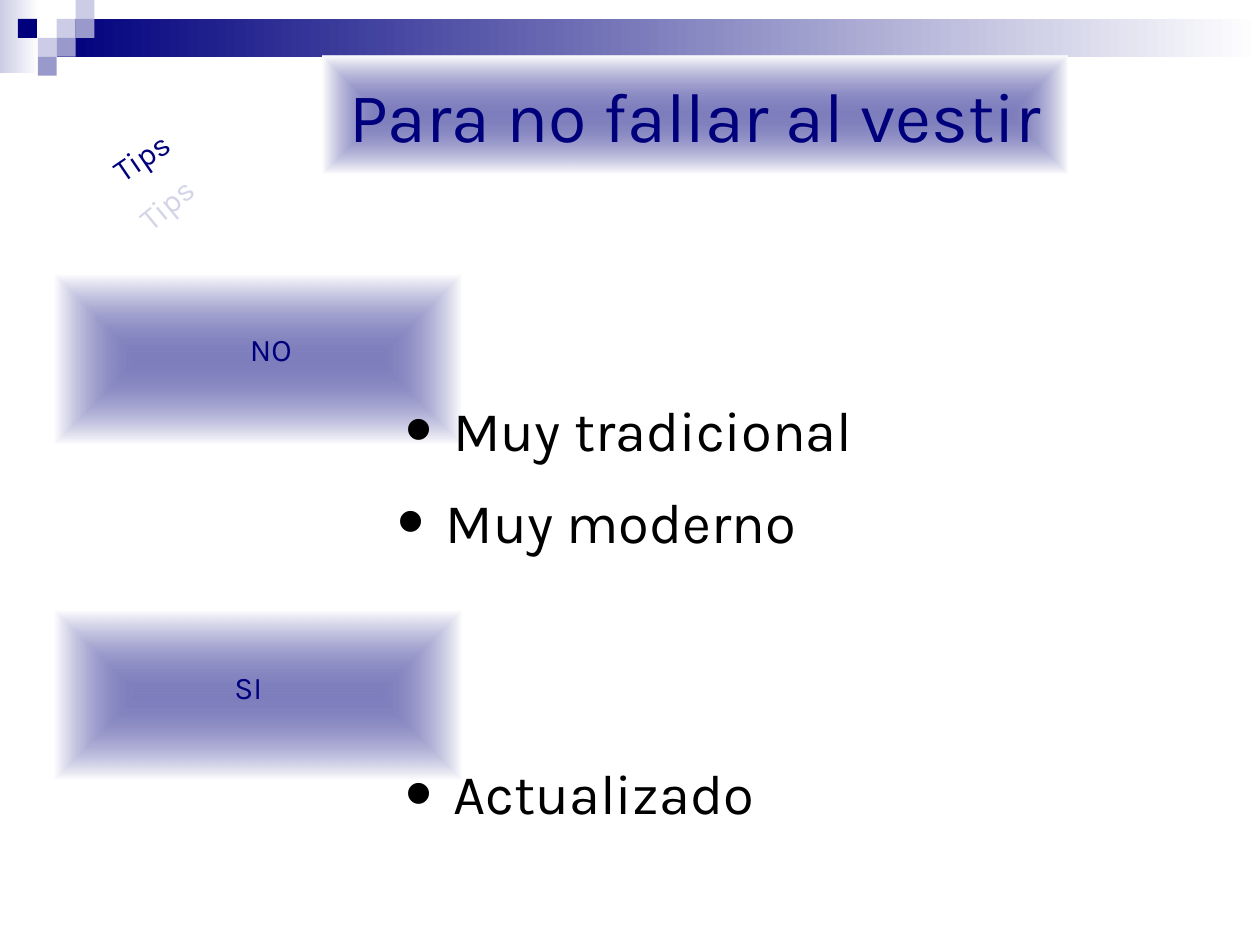
from dataclasses import dataclass

from lxml.etree import SubElement
from pptx import Presentation
from pptx.dml.color import RGBColor
from pptx.enum.shapes import MSO_SHAPE
from pptx.enum.text import MSO_ANCHOR, PP_ALIGN
from pptx.oxml import parse_xml
from pptx.oxml.ns import qn
from pptx.util import Inches, Pt


@dataclass(frozen=True)
class Theme:
    navy: str = "00007D"
    lilac: str = "9999CC"
    pale: str = "CCCCE6"
    white: str = "FFFFFF"
    black: str = "000000"
    font: str = "Karla"
    bullet_font: str = "Arial"
    title_size: int = 40
    body_size: int = 32
    label_size: int = 18
    bullet_percent: int = 138
    line_pitch: float = 52.6


T = Theme()
A_NS = "http://schemas.openxmlformats.org/drawingml/2006/main"

# Content
TITLE = ("Para no fallar al vestir", (2.56, 0.44, 5.91, 0.94))
TIPS = [  # text, box, rotation, opacity in percent
    ("Tips", (0.03, 1.02, 2.33, 0.66), 325.7, 100),
    ("Tips", (0.27, 1.39, 2.25, 0.63), 320.4, 17),
]
SECTIONS = [  # label, panel top, label box, list top, (item, indent)
    ("NO", 2.18, (1.38, 2.57, 1.54, 0.51), 3.04,
     [("Muy tradicional", 0.55), ("Muy moderno", 0.49)]),
    ("SI", 4.85, (1.38, 5.25, 1.18, 0.51), 5.56,
     [("Actualizado", 0.55)]),
]
BARS = [  # box, colour at the left end
    ((0, 0, 0.31, 0.58), T.pale),
    ((0.45, 0.15, 9.55, 0.3), T.navy),
]
TILE = 0.15
TILES = [  # column, row, colour
    (3, 1, T.pale), (4, 0, T.pale), (4, 1, T.lilac), (2, 2, T.pale),
    (0.95, 1, T.navy), (3, 2, T.lilac), (2, 3, T.lilac),
]

prs = Presentation()
prs.slide_width, prs.slide_height = Inches(10), Inches(7.5)
s = prs.slides.add_slide(prs.slide_layouts[6])


def add_rect(box):
    sp = s.shapes.add_shape(MSO_SHAPE.RECTANGLE, *map(Inches, box))
    sp.shadow.inherit = False
    sp.line.fill.background()
    return sp


def set_gradient(sp, start, end, shade, alpha=100):
    """Fill with two stops; shade is the XML for direction or path."""
    grad = parse_xml(
        f'<a:gradFill xmlns:a="{A_NS}" rotWithShape="1"><a:gsLst>'
        f'<a:gs pos="0"><a:srgbClr val="{start}">'
        f'<a:alpha val="{alpha * 1000}"/></a:srgbClr></a:gs>'
        f'<a:gs pos="100000"><a:srgbClr val="{end}"/></a:gs>'
        f'</a:gsLst>{shade}</a:gradFill>')
    sp.fill.background()
    props = sp.fill._xPr
    props.replace(props.find(qn("a:noFill")), grad)


def add_panel(box):
    sp = add_rect(box)
    set_gradient(sp, T.navy, T.white,
                 '<a:path path="rect"><a:fillToRect l="50000" t="50000" '
                 'r="50000" b="50000"/></a:path>', alpha=50)
    return sp


def style(p, size, color):
    p.font.name, p.font.size = T.font, Pt(size)
    p.font.color.rgb = RGBColor.from_string(color)


def add_label(text, box, rotation=0, opacity=100):
    sp = s.shapes.add_textbox(*map(Inches, box))
    sp.rotation = rotation
    sp.text_frame.word_wrap = True
    p = sp.text_frame.paragraphs[0]
    p.alignment = PP_ALIGN.CENTER
    r = p.add_run()
    r.text = text
    style(r, T.label_size, T.navy)
    if opacity < 100:
        color = r.font._element.find(".//" + qn("a:srgbClr"))
        SubElement(color, qn("a:alpha"), val=str(opacity * 1000))


def add_list(items, top):
    sp = s.shapes.add_textbox(*map(Inches, (2.95, top, 5.59, 1.26)))
    tf = sp.text_frame
    tf.word_wrap, tf.vertical_anchor = True, MSO_ANCHOR.MIDDLE
    for i, (text, indent) in enumerate(items):
        p = tf.add_paragraph() if i else tf.paragraphs[0]
        p.text = text
        p.line_spacing = Pt(T.line_pitch)
        style(p, T.body_size, T.black)
        props = p._p.get_or_add_pPr()
        props.set("marL", str(Inches(indent)))
        props.set("indent", str(Inches(-0.38)))
        bullet = [("buSzPct", "val", str(T.bullet_percent * 1000)),
                  ("buFont", "typeface", T.bullet_font),
                  ("buChar", "char", "•")]
        defaults = props.find(qn("a:defRPr"))
        for tag, key, value in bullet:
            node = SubElement(props, qn("a:" + tag))
            node.set(key, value)
            defaults.addprevious(node)


# Header bars and tiles
for box, color in BARS:
    set_gradient(add_rect(box), T.white, color,
                 '<a:lin ang="10800000" scaled="0"/>')
for col, row, color in TILES:
    sp = add_rect((col * TILE, row * TILE, TILE, TILE))
    sp.fill.solid()
    sp.fill.fore_color.rgb = RGBColor.from_string(color)

# Title
text, box = TITLE
tf = add_panel(box).text_frame
tf.word_wrap, tf.vertical_anchor = True, MSO_ANCHOR.MIDDLE
p = tf.paragraphs[0]
p.text, p.alignment = text, PP_ALIGN.CENTER
style(p, T.title_size, T.navy)

# Slanted word and its faded echo
for tip in TIPS:
    add_label(*tip)

# Panels with their labels, then the lists over them
for label, top, label_box, list_top, items in SECTIONS:
    add_panel((0.43, top, 3.23, 1.34))
    add_label(label, label_box)
    add_list(items, list_top)

prs.save("out.pptx")
